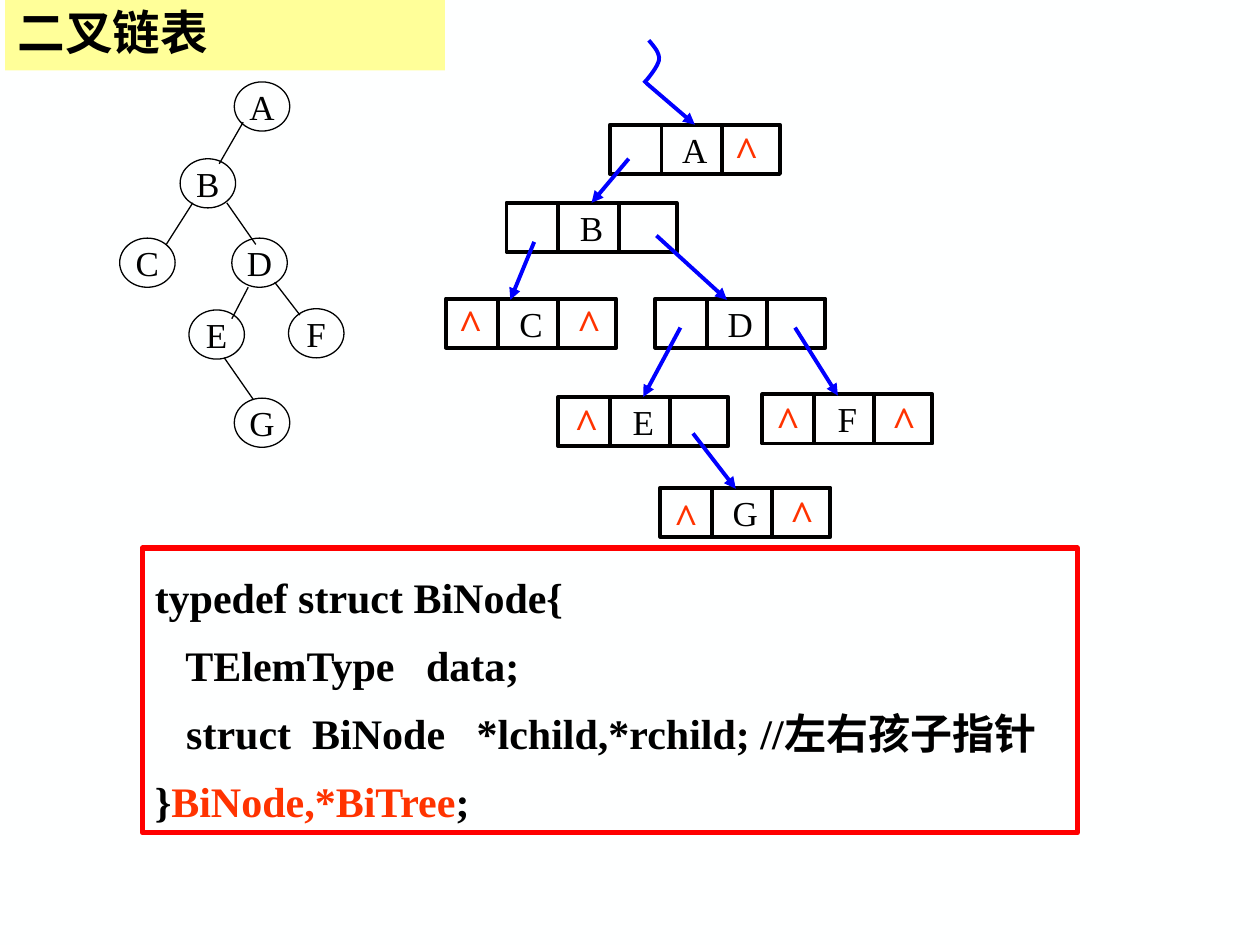
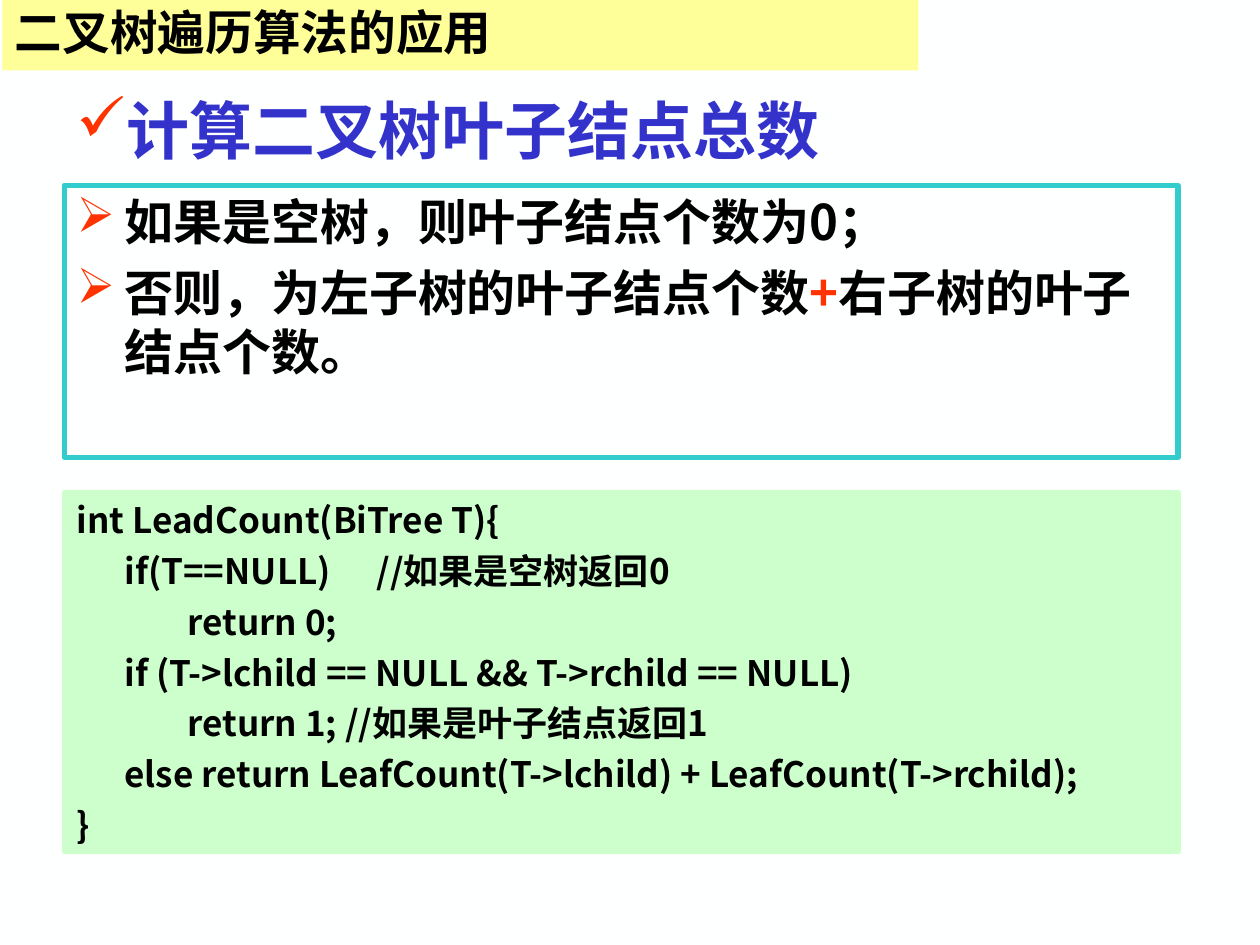
"""Build two slides on linked binary trees and counting their leaf nodes."""
from dataclasses import dataclass

import lxml.etree
import pptx
import pptx.dml.color
import pptx.enum.shapes
import pptx.enum.text
import pptx.oxml.ns
import pptx.util

Inches = pptx.util.Inches
Pt = pptx.util.Pt
SHAPE = pptx.enum.shapes.MSO_SHAPE
ANCHOR = pptx.enum.text.MSO_ANCHOR
ALIGN = pptx.enum.text.PP_ALIGN


@dataclass(frozen=True)
class Theme:
    background: str = "FEFFFF"
    ink: str = "000000"
    band: str = "FFFF99"
    accent: str = "FF3300"
    pointer: str = "0000FF"
    heading: str = "3333CC"
    code_frame: str = "FF0000"
    rule_frame: str = "33CCCC"
    code_fill: str = "CCFFCC"
    serif: str = "Times New Roman"
    sans: str = "Noto Sans CJK SC"
    title_size: float = 27.2
    heading_size: float = 36
    rule_size: float = 28
    struct_size: float = 24
    node_size: float = 20
    thin: float = 0.75
    medium: float = 2.25
    thick: float = 3


def rgb(value):
    return pptx.dml.color.RGBColor.from_string(value)


def add_xml(parent, tag, **attributes):
    return lxml.etree.SubElement(parent, pptx.oxml.ns.qn(tag), attributes)


def bezier(start, control1, control2, end, steps=8):
    points = []
    for i in range(1, steps + 1):
        t = i / steps
        weights = (1 - t) ** 3, 3 * t * (1 - t) ** 2, 3 * t * t * (1 - t), t ** 3
        points.append(tuple(
            sum(w * v for w, v in zip(weights, axis))
            for axis in zip(start, control1, control2, end)))
    return points


class Deck:
    def __init__(self, theme):
        self.theme = theme
        self.prs = pptx.Presentation()
        self.prs.slide_width, self.prs.slide_height = Inches(10), Inches(7.5)
        self.s = None

    def slide(self, title, left, width):
        self.s = self.prs.slides.add_slide(self.prs.slide_layouts[6])
        fill = self.s.background.fill
        fill.solid()
        fill.fore_color.rgb = rgb(self.theme.background)
        band = self.shape(SHAPE.RECTANGLE, left, 0, width, 0.56, fill=self.theme.band)
        self.put_text(band, [title], self.theme.title_size, self.theme.sans, bold=True,
                      anchor=ANCHOR.MIDDLE, line_spacing=0.9)

    def outline(self, sp, color, width):
        sp.line.color.rgb = rgb(color)
        sp.line.width = Pt(width)

    def shape(self, kind, x, y, w, h, fill=None, line=None, width=0):
        sp = self.s.shapes.add_shape(kind, Inches(x), Inches(y), Inches(w), Inches(h))
        sp.shadow.inherit = False
        if fill:
            sp.fill.solid()
            sp.fill.fore_color.rgb = rgb(fill)
        else:
            sp.fill.background()
        if line:
            self.outline(sp, line, width)
        else:
            sp.line.fill.background()
        return sp

    def textbox(self, x, y, w, h):
        return self.s.shapes.add_textbox(Inches(x), Inches(y), Inches(w), Inches(h))

    def put_text(self, sp, paragraphs, size, font, color=None, bold=False, anchor=ANCHOR.TOP,
                 align=ALIGN.LEFT, wrap=True, line_spacing=None, space_before=0,
                 bullet=None, hanging=0, tabs=()):
        tf = sp.text_frame
        tf.word_wrap = wrap
        tf.vertical_anchor = anchor
        for i, content in enumerate(paragraphs):
            p = tf.paragraphs[0] if i == 0 else tf.add_paragraph()
            pPr = p._p.get_or_add_pPr()
            if hanging:
                pPr.set("marL", str(Inches(hanging)))
                pPr.set("indent", str(-Inches(hanging)))
            if bullet:
                add_xml(add_xml(pPr, "a:buClr"), "a:srgbClr", val=self.theme.accent)
                add_xml(pPr, "a:buChar", char=bullet)
            if tabs:
                stops = add_xml(pPr, "a:tabLst")
                for stop in tabs:
                    add_xml(stops, "a:tab", pos=str(Inches(stop)), algn="l")
            p.alignment = align
            if line_spacing:
                p.line_spacing = line_spacing
            if i and space_before:
                p.space_before = Pt(space_before)
            parts = [(content, None)] if isinstance(content, str) else content
            for text, part_color in parts:
                r = p.add_run()
                r.text = text
                r.font.size = Pt(size)
                r.font.bold = bold
                r.font.name = font
                r.font.color.rgb = rgb(part_color or color or self.theme.ink)
                add_xml(r._r.get_or_add_rPr(), "a:ea", typeface=self.theme.sans)

    def line(self, start, end, color=None, width=None, arrow=False):
        ends = [Inches(v) for v in (*start, *end)]
        cx = self.s.shapes.add_connector(pptx.enum.shapes.MSO_CONNECTOR.STRAIGHT, *ends)
        self.outline(cx, color or self.theme.ink, width or self.theme.thin)
        spPr = cx._element.spPr
        if arrow:
            add_xml(spPr.find(pptx.oxml.ns.qn("a:ln")), "a:tailEnd", type="triangle")
        add_xml(spPr, "a:effectLst")
        return cx

    def pointer(self, start, end, target):
        cx = self.line(start, end, self.theme.pointer, self.theme.medium, arrow=True)
        middle = target.left + target.width / 2
        if abs(Inches(end[0]) - middle) < Inches(0.05):
            cx.end_connect(target, 0)

    def curve(self, points):
        points = [(Inches(x), Inches(y)) for x, y in points]
        builder = self.s.shapes.build_freeform(*points[0])
        builder.add_line_segments(points[1:], close=False)
        sp = builder.convert_to_shape()
        sp.shadow.inherit = False
        sp.fill.background()
        self.outline(sp, self.theme.pointer, self.theme.medium)

    def tree_node(self, name, x, y):
        sp = self.shape(SHAPE.OVAL, x, y, 0.44, 0.39, line=self.theme.ink, width=self.theme.thin)
        self.node_label(sp, name)

    def node_label(self, sp, name):
        self.put_text(sp, [name], self.theme.node_size, self.theme.serif,
                      anchor=ANCHOR.MIDDLE, align=ALIGN.CENTER, wrap=False)

    def linked_node(self, name, x, y):
        sp = self.shape(SHAPE.RECTANGLE, x, y, 1.35, 0.39,
                        line=self.theme.ink, width=self.theme.medium)
        self.node_label(sp, name)
        for offset in (0.41, 0.89):
            self.line((x + offset, y), (x + offset, y + 0.39), width=self.theme.medium)
        return sp

    def null_mark(self, x, y):
        self.put_text(self.textbox(x, y, 0.39, 0.5), ["^"], self.theme.struct_size,
                      self.theme.serif, color=self.theme.accent, bold=True,
                      anchor=ANCHOR.MIDDLE, align=ALIGN.CENTER, wrap=False)


def linked_list_slide(deck):
    theme = deck.theme
    deck.slide("二叉链表", 0.04, 3.49)

    tree = {"A": (1.86, 0.65), "B": (1.43, 1.26), "C": (0.95, 1.89), "D": (1.84, 1.89),
            "E": (1.5, 2.46), "F": (2.29, 2.45), "G": (1.86, 3.16)}
    for name, place in tree.items():
        deck.tree_node(name, *place)
    for start, end in [((1.93, 0.97), (1.74, 1.3)), ((1.53, 1.61), (1.32, 1.94)),
                       ((1.8, 1.61), (2.03, 1.94)), ((1.97, 2.28), (1.84, 2.53)),
                       ((2.18, 2.24), (2.38, 2.5)), ((1.78, 2.84), (2.01, 3.17))]:
        deck.line(start, end)

    linked = {"A": (4.84, 0.99), "B": (4.02, 1.61), "C": (3.54, 2.37), "D": (5.2, 2.37),
              "E": (4.43, 3.15), "F": (6.05, 3.13), "G": (5.24, 3.87)}
    nodes = {name: deck.linked_node(name, *place) for name, place in linked.items()}
    for start, end, target in [((5.13, 0.66), (5.48, 0.99), "A"),
                               ((4.99, 1.26), (4.74, 1.62), "B"),
                               ((4.24, 1.92), (4.05, 2.38), "C"),
                               ((5.21, 1.87), (5.77, 2.38), "D"),
                               ((5.4, 2.6), (5.09, 3.14), "E"),
                               ((6.31, 2.6), (6.65, 3.14), "F"),
                               ((5.5, 3.44), (5.84, 3.88), "G")]:
        deck.pointer(start, end, nodes[target])
    top, bend, bottom = (5.15, 0.32), (5.23, 0.48), (5.11, 0.66)
    deck.curve([top, *bezier(top, (5.19, 0.37), (5.24, 0.42), bend),
                *bezier(bend, (5.22, 0.53), (5.14, 0.63), bottom)])
    for x, y in [(5.73, 0.94), (3.54, 2.31), (4.48, 2.31), (4.46, 3.1),
                 (6.06, 3.08), (6.98, 3.08), (5.25, 3.85), (6.17, 3.83)]:
        deck.null_mark(x, y)

    frame = deck.shape(SHAPE.RECTANGLE, 1.13, 4.35, 7.42, 2.26,
                       line=theme.code_frame, width=theme.thick)
    deck.put_text(frame, [
        "typedef struct BiNode{",
        "   TElemType   data;",
        "   struct  BiNode   *lchild,*rchild; //左右孩子指针",
        [("}", None), ("BiNode,*BiTree", theme.accent), (";", None)],
    ], theme.struct_size, theme.serif, bold=True, line_spacing=1.35)


def leaf_count_slide(deck):
    theme = deck.theme
    deck.slide("二叉树遍历算法的应用", 0.02, 7.27)
    deck.put_text(deck.textbox(0.51, 0.68, 6.53, 0.7), ["计算二叉树叶子结点总数"],
                  theme.heading_size, theme.sans, color=theme.heading, bold=True,
                  anchor=ANCHOR.MIDDLE, bullet="✓")

    rules = deck.shape(SHAPE.RECTANGLE, 0.51, 1.47, 8.84, 2.16,
                       line=theme.rule_frame, width=theme.thick)
    deck.put_text(rules, [
        "如果是空树，则叶子结点个数为0；",
        [("否则，为左子树的叶子结点个数", None), ("+", theme.accent),
         ("右子树的叶子结点个数。", None)],
    ], theme.rule_size, theme.sans, bold=True, space_before=7, bullet="➢", hanging=0.38)

    code = deck.shape(SHAPE.RECTANGLE, 0.51, 3.91, 8.84, 2.85, fill=theme.code_fill,
                      line=theme.code_fill, width=theme.thick)
    deck.put_text(code, [
        "int LeadCount(BiTree T){",
        " \tif(T==NULL) \t//如果是空树返回0",
        "\t\treturn 0;",
        "\tif (T->lchild == NULL && T->rchild == NULL)",
        "\t\treturn 1; //如果是叶子结点返回1",
        "\telse return LeafCount(T->lchild) + LeafCount(T->rchild);",
        "}",
    ], theme.node_size, theme.sans, bold=True, space_before=5, hanging=0.38, tabs=range(8))


def main():
    deck = Deck(Theme())
    linked_list_slide(deck)
    leaf_count_slide(deck)
    deck.prs.save("out.pptx")


if __name__ == "__main__":
    main()
